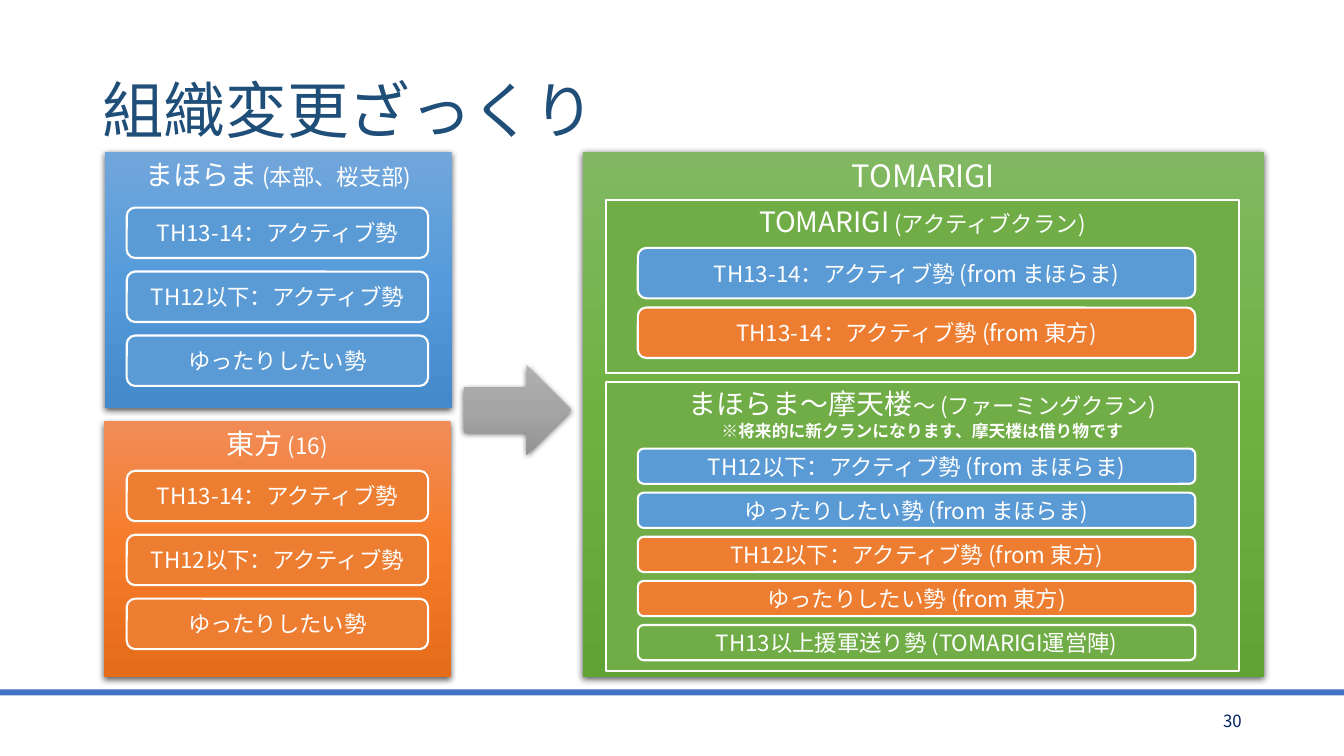
import copy

import pptx
import pptx.dml.color
import pptx.enum.shapes
import pptx.enum.text
import pptx.oxml
import pptx.oxml.ns
import pptx.util
from lxml import etree

Pt = pptx.util.Pt
qn = pptx.oxml.ns.qn
PRESET = pptx.enum.shapes.MSO_SHAPE
ANCHOR = pptx.enum.text.MSO_ANCHOR
ALIGN = pptx.enum.text.PP_ALIGN

FONT = "Noto Sans CJK JP"
WHITE, BLUE, ORANGE, GREEN = "FFFFFF", "5B9BD5", "ED7D31", "70AD47"
GRADIENTS = {
    BLUE: ("71A6DB", "559BDB", "448ACA"),
    ORANGE: ("F18C57", "F67B28", "E56C19"),
    GREEN: ("81B861", "6FB242", "62A336"),
    "gray": ("AFAFAF", "A5A5A5", "939393"),
}

# A run is (text, size) or (text, size, bold); "\n" is a line break.
TITLE = [("組織変更ざっくり", 44)]
PAGE_NUMBER = [("30", 12)]
MERGED_HEADING = [("TOMARIGI", 22)]
MEMBERS = ["TH13-14：アクティブ勢", "TH12以下：アクティブ勢", "ゆったりしたい勢"]

# heading, colour, panel left, panel top, first card top
OLD_CLANS = [
    ([("まほらま", 20), (" (本部、桜支部)", 16)], BLUE, 74.9, 108.7, 148.3),
    ([("東方", 20), (" (16)", 16)], ORANGE, 74.2, 301, 336.3),
]

# heading, top, height, first card top, card pitch, card height, cards
NEW_CLANS = [
    ([("TOMARIGI", 20), (" (アクティブクラン)", 16)],
     142.6, 123.8, 177.1, 42.6, 36,
     [("TH13-14：アクティブ勢 (from まほらま)", BLUE),
      ("TH13-14：アクティブ勢 (from 東方)", ORANGE)]),
    ([("まほらま〜摩天楼", 20), ("〜 (ファーミングクラン)", 16), ("\n", 16),
      ("※将来的に新クランになります、摩天楼は借り物です", 12, True)],
     272.9, 206.6, 320.4, 31.5, 25.2,
     [("TH12以下：アクティブ勢 (from まほらま)", BLUE),
      ("ゆったりしたい勢 (from まほらま)", BLUE),
      ("TH12以下：アクティブ勢 (from 東方)", ORANGE),
      ("ゆったりしたい勢 (from 東方)", ORANGE),
      ("TH13以上援軍送り勢 (TOMARIGI運営陣)", GREEN)]),
]


def rgb(value):
    return pptx.dml.color.RGBColor.from_string(value)


def write(shape, runs, color=WHITE, align=ALIGN.CENTER, anchor=ANCHOR.TOP):
    frame = shape.text_frame
    frame.word_wrap = True
    frame.vertical_anchor = anchor
    paragraph = frame.paragraphs[0]
    paragraph.alignment = align
    for text, size, *bold in runs:
        if text == "\n":
            paragraph.add_line_break()
            continue
        run = paragraph.add_run()
        run.text = text
        run.font.size = Pt(size)
        run.font.bold = bool(bold)
        run.font.color.rgb = rgb(color)
        run.font.name = FONT
        east_asian = etree.SubElement(run.font._element, qn("a:ea"))
        east_asian.set("typeface", FONT)
    return paragraph


def add_flat(slide, preset, box, fill, outlined=True):
    shape = slide.shapes.add_shape(preset, *map(Pt, box))
    shape.shadow.inherit = False
    shape.fill.solid()
    shape.fill.fore_color.rgb = rgb(fill)
    if outlined:
        shape.line.color.rgb = rgb(WHITE)
        shape.line.width = Pt(1.5)
    else:
        shape.line.fill.background()
    return shape


def add_raised(slide, preset, box, gradient):
    """Add a shape with a vertical three-stop gradient and a soft shadow."""
    shape = add_flat(slide, preset, box, WHITE, outlined=False)
    shape.fill.gradient()
    shape.fill.gradient_angle = 270
    properties = shape._element.spPr
    stops = properties.find(".//" + qn("a:gsLst"))
    stops.insert(1, copy.deepcopy(stops[0]))
    for stop, color, position in zip(shape.fill.gradient_stops,
                                     GRADIENTS[gradient], (0, 0.5, 1)):
        stop.color.rgb = rgb(color)
        stop.position = position
    properties.find(qn("a:effectLst")).append(pptx.oxml.parse_xml(
        f'<a:outerShdw {pptx.oxml.ns.nsdecls("a")} blurRad="57150" dist="19050" '
        'dir="5400000" algn="ctr" rotWithShape="0"><a:srgbClr val="000000">'
        '<a:alpha val="63000"/></a:srgbClr></a:outerShdw>'))
    return shape


def add_cards(slide, cards, left, top, width, height, pitch):
    for index, (text, fill) in enumerate(cards):
        box = (left, top + index * pitch, width, height)
        card = add_flat(slide, PRESET.ROUNDED_RECTANGLE, box, fill)
        write(card, [(text, 16)], anchor=ANCHOR.MIDDLE)


def main():
    deck = pptx.Presentation()
    deck.slide_width, deck.slide_height = Pt(960), Pt(540)
    slide = deck.slides.add_slide(deck.slide_layouts[6])

    add_flat(slide, PRESET.RECTANGLE, (0, 492.5, 960, 4.3), "4472C4", outlined=False)
    merged = add_raised(slide, PRESET.RECTANGLE, (416.2, 108.7, 486.7, 375.1), GREEN)
    write(merged, MERGED_HEADING)

    title = slide.shapes.add_textbox(Pt(66), Pt(28.75), Pt(828), Pt(104.4))
    write(title, TITLE, "1F4E79", ALIGN.LEFT, ANCHOR.MIDDLE).line_spacing = 0.9
    page = slide.shapes.add_textbox(Pt(678), Pt(500.5), Pt(216), Pt(28.75))
    write(page, PAGE_NUMBER, "002060", ALIGN.RIGHT, ANCHOR.MIDDLE)

    for heading, color, left, top, cards_top in OLD_CLANS:
        panel = add_raised(slide, PRESET.RECTANGLE, (left, top, 247.7, 182.9), color)
        write(panel, heading)
        add_cards(slide, [(member, color) for member in MEMBERS],
                  90.5, cards_top, 215.3, 36, 45.7)

    add_raised(slide, PRESET.RIGHT_ARROW, (331.2, 260.6, 77, 64.1), "gray")

    for heading, top, height, cards_top, pitch, card_height, cards in NEW_CLANS:
        clan = add_flat(slide, PRESET.RECTANGLE, (432.7, top, 452.2, height), GREEN)
        write(clan, heading)
        add_cards(slide, cards, 455.6, cards_top, 398.2, card_height, pitch)

    deck.save("out.pptx")


if __name__ == "__main__":
    main()
